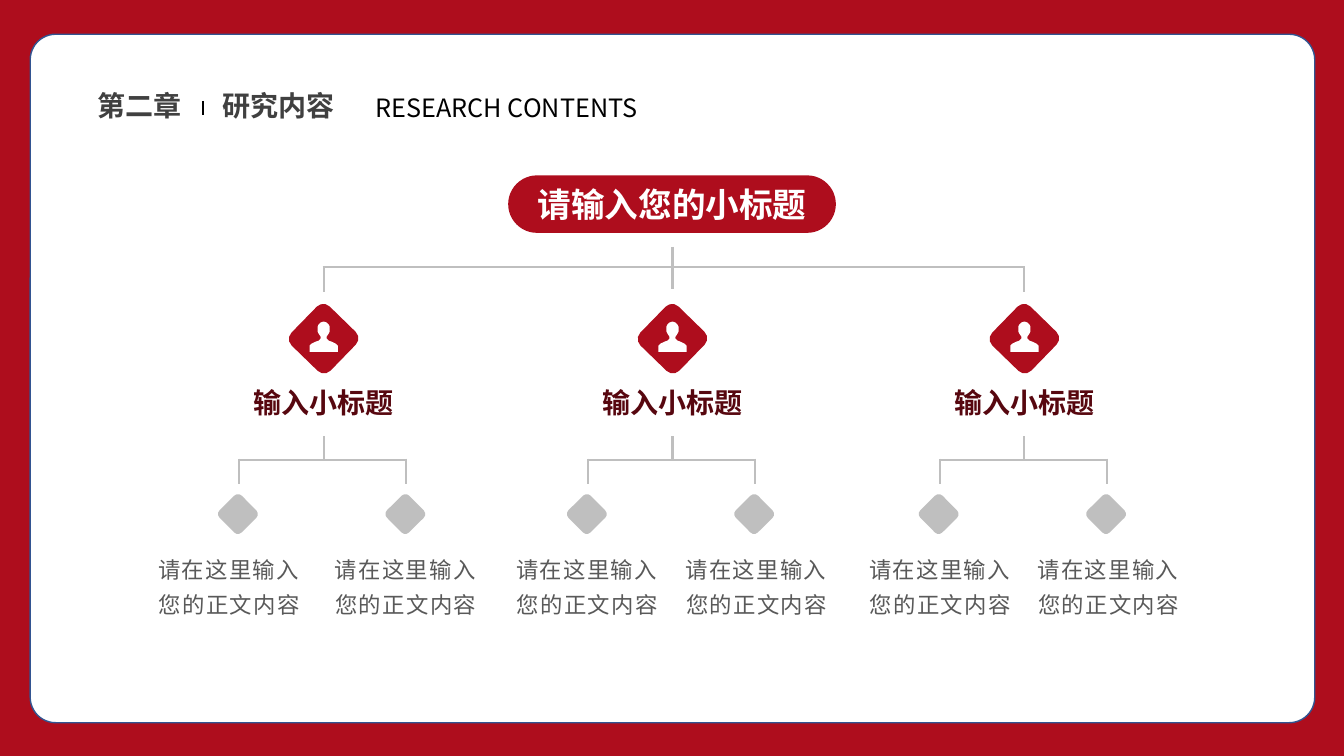
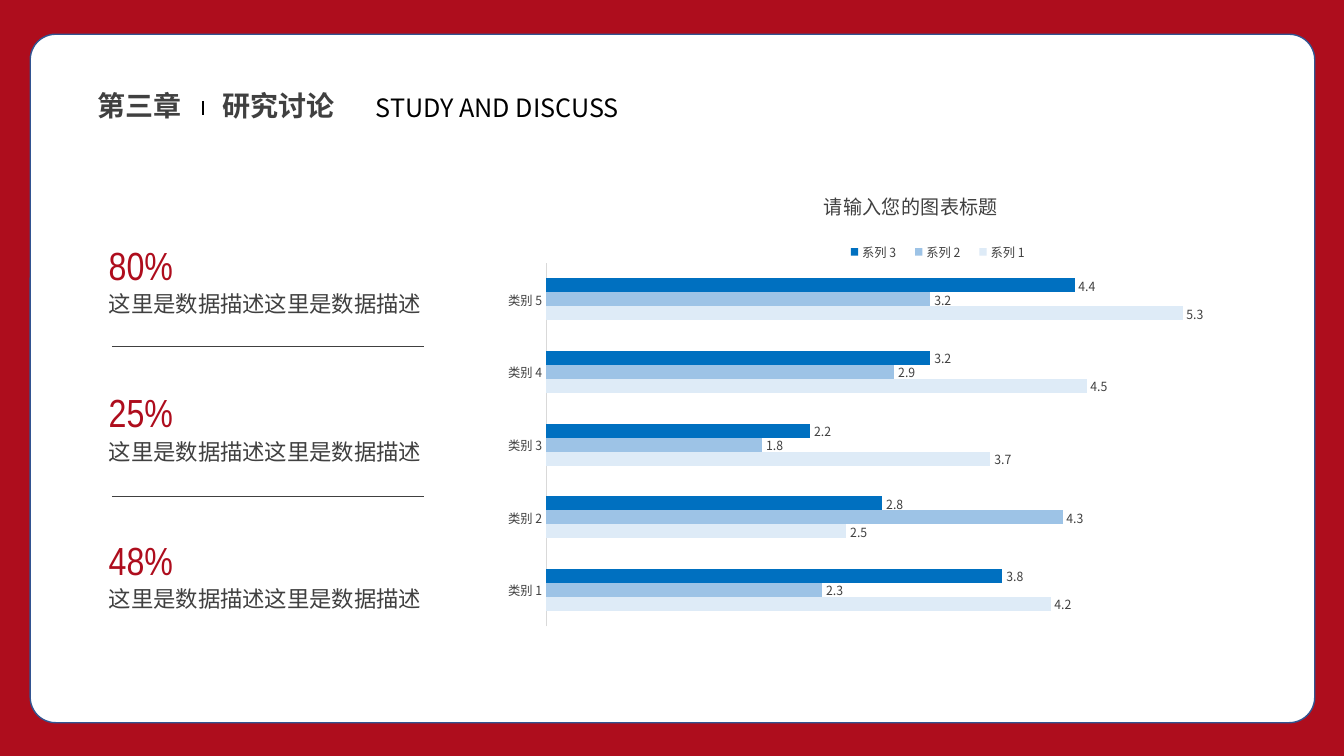
from lxml import etree
from pptx import Presentation
from pptx.chart.data import CategoryChartData
from pptx.dml.color import RGBColor
from pptx.enum.chart import XL_CHART_TYPE as ChartType, XL_LABEL_POSITION as LabelPos
from pptx.enum.chart import XL_LEGEND_POSITION as LegendPos, XL_TICK_MARK as Tick
from pptx.enum.shapes import MSO_CONNECTOR as Connector, MSO_SHAPE as Shape
from pptx.enum.text import MSO_ANCHOR as Anchor, MSO_AUTO_SIZE as AutoSize, PP_ALIGN as Align
from pptx.oxml.ns import qn
from pptx.util import Inches, Pt

RED, DARK_RED, WHITE, BLACK = "AE0D1D", "57070F", "FFFFFF", "000000"
INK, TEXT_GRAY, LINE_GRAY, CARD_EDGE = "404040", "595959", "BFBFBF", "325491"
FONT = "Noto Sans CJK SC"
rgb = RGBColor.from_string


def put_text(shape, text, size, color, bold=False, align=Align.LEFT, font=FONT,
             anchor=Anchor.TOP, leading=None, tracking=0):
    frame = shape.text_frame
    frame.text = text
    frame.word_wrap = True
    frame.auto_size = AutoSize.NONE
    frame.vertical_anchor = anchor
    paragraph = frame.paragraphs[0]
    paragraph.alignment = align
    paragraph.line_spacing = leading
    run = paragraph.runs[0]
    run.font.name, run.font.size, run.font.bold = font, Pt(size), bold
    run.font.color.rgb = rgb(color)
    props = run.font._element
    etree.SubElement(props, qn("a:ea")).set("typeface", font)
    if tracking:
        props.set("spc", str(tracking * 100))


def draw_line(slide, x1, y1, x2, y2, color=LINE_GRAY, width=1.5):
    line = slide.shapes.add_connector(
        Connector.STRAIGHT, Inches(x1), Inches(y1), Inches(x2), Inches(y2))
    line.line.color.rgb = rgb(color)
    line.line.width = Pt(width)
    etree.SubElement(line._element.spPr, qn("a:effectLst"))
    return line


prs = Presentation()
prs.slide_width, prs.slide_height = Inches(13.33), Inches(7.5)

# Shared layout: red ground, white card, title place, heading divider
layout = prs.slide_layouts[5]
layout.background.fill.solid()
layout.background.fill.fore_color.rgb = rgb(RED)
title_place = layout.placeholders[0]
title_place.left, title_place.top = Inches(2.11), Inches(0.83)
title_place.width, title_place.height = Inches(1.5), Inches(0.44)

headings = [("第二章", "研究内容", "RESEARCH CONTENTS"),
            ("第三章", "研究讨论", "STUDY AND DISCUSS")]
contents, discussion = [prs.slides.add_slide(layout) for _ in headings]

card = contents.shapes.add_shape(
    Shape.ROUNDED_RECTANGLE, Inches(0.3), Inches(0.34), Inches(12.74), Inches(6.83))
card.adjustments[0] = 0.037
card.shadow.inherit = False
card.fill.solid()
card.fill.fore_color.rgb = rgb(WHITE)
card.line.color.rgb = rgb(CARD_EDGE)
card.line.width = Pt(1)
divider = draw_line(contents, 2.01, 1, 2.01, 1.14, BLACK)
for place, part in enumerate([card, divider], start=2):
    layout.shapes._spTree.insert(place, part._element)

# Headings
for slide, (chapter, heading, english) in zip([contents, discussion], headings):
    put_text(slide.shapes.title, heading, 20, INK, bold=True)
    chapter_box = slide.shapes.add_textbox(
        Inches(0.87), Inches(0.83), Inches(1.1), Inches(0.44))
    put_text(chapter_box, chapter, 20, INK, bold=True)
    english_box = slide.shapes.add_textbox(
        Inches(3.63), Inches(0.87), Inches(4.06), Inches(0.4))
    put_text(english_box, english, 18, BLACK)

# Tree: root pill and its trunk
solids = []
root = contents.shapes.add_shape(
    Shape.ROUNDED_RECTANGLE, Inches(5.04), Inches(1.74), Inches(3.25), Inches(0.57))
root.adjustments[0] = 0.5
put_text(root, "请输入您的小标题", 24, WHITE, bold=True, align=Align.CENTER,
         anchor=Anchor.MIDDLE)
solids.append((root, RED))
draw_line(contents, 6.67, 2.45, 6.67, 2.87)
draw_line(contents, 3.2, 2.65, 10.17, 2.65)
for x in (3.21, 10.16):
    draw_line(contents, x, 2.65, x, 2.9)

# Tree: branches as (centre, left edges of the two leaf texts)
branches = [(3.21, (1.52, 3.27)), (6.67, (5.07, 6.75)), (10.16, (8.57, 10.24))]
half_person = [(0, 0), (0.03, 0.01), (0.05, 0.03), (0.06, 0.05), (0.06, 0.1),
               (0.05, 0.12), (0.03, 0.15), (0.03, 0.17), (0.05, 0.19), (0.08, 0.2),
               (0.12, 0.22), (0.14, 0.24), (0.14, 0.3)]
person_outline = half_person + [(-x, y) for x, y in reversed(half_person)]

for center, text_lefts in branches:
    diamonds = [(center, 3.36, 0.54, 44.2, RED)]
    diamonds += [(center + dx, 5.1, 0.31, 45.3, LINE_GRAY) for dx in (-0.85, 0.81)]
    for x, y, side, angle, color in diamonds:
        diamond = contents.shapes.add_shape(
            Shape.ROUNDED_RECTANGLE, Inches(x - side / 2), Inches(y - side / 2),
            Inches(side), Inches(side))
        diamond.rotation = angle
        solids.append((diamond, color))

    points = [(Inches(center + x), Inches(3.19 + y)) for x, y in person_outline]
    builder = contents.shapes.build_freeform(*points[0], scale=1.0)
    builder.add_line_segments(points[1:], close=True)
    solids.append((builder.convert_to_shape(), WHITE))

    label = contents.shapes.add_textbox(
        Inches(center - 1), Inches(3.78), Inches(2), Inches(0.44))
    put_text(label, "输入小标题", 20, DARK_RED, bold=True, align=Align.CENTER)

    draw_line(contents, center, 4.33, center, 4.56)
    draw_line(contents, center - 0.84, 4.56, center + 0.83, 4.56)
    for x in (center - 0.84, center + 0.82):
        draw_line(contents, x, 4.55, x, 4.8)

    for left in text_lefts:
        leaf = contents.shapes.add_textbox(
            Inches(left), Inches(5.44), Inches(1.51), Inches(0.79))
        put_text(leaf, "请在这里输入您的正文内容", 16, TEXT_GRAY,
                 align=Align.CENTER, leading=1.3, tracking=1)
        frame = leaf.text_frame
        frame.margin_left = frame.margin_right = 0
        frame.margin_top = frame.margin_bottom = 0

for solid, color in solids:
    solid.shadow.inherit = False
    solid.fill.solid()
    solid.fill.fore_color.rgb = rgb(color)
    solid.line.fill.background()

# Key figures
for row, share in enumerate(["80%", "25%", "48%"]):
    top = 2.23 + 1.46 * row
    figure = discussion.shapes.add_textbox(
        Inches(0.98), Inches(top), Inches(1.72), Inches(0.62))
    put_text(figure, share, 28, RED, font="Arial Narrow", leading=1.25)
    description = discussion.shapes.add_textbox(
        Inches(0.98), Inches(top + 0.55), Inches(3.38), Inches(0.4))
    put_text(description, "这里是数据描述这里是数据描述", 16, INK, leading=1.2)
for y in (3.44, 4.92):
    draw_line(discussion, 1.11, y, 4.21, y, INK, 0.5)

# Bar chart
series_rows = [("系列 1", (4.2, 2.5, 3.7, 4.5, 5.3), "DEEBF7"),
               ("系列 2", (2.3, 4.3, 1.8, 2.9, 3.2), "9DC3E6"),
               ("系列 3", (3.8, 2.8, 2.2, 3.2, 4.4), "0070C0")]
data = CategoryChartData()
data.categories = [f"类别 {n}" for n in range(1, 6)]
for name, values, _ in series_rows:
    data.add_series(name, values)
chart = discussion.shapes.add_chart(
    ChartType.BAR_CLUSTERED, Inches(5.04), Inches(1.71), Inches(7.99), Inches(4.51),
    data).chart

plot = chart.plots[0]
plot.gap_width, plot.overlap = 219, 0
plot.vary_by_categories = False
for series, (_, _, color) in zip(plot.series, series_rows):
    series.format.fill.solid()
    series.format.fill.fore_color.rgb = rgb(color)
plot.has_data_labels = True
plot.data_labels.show_value = True
plot.data_labels.position = LabelPos.OUTSIDE_END

category_axis, value_axis = chart.category_axis, chart.value_axis
category_axis.major_tick_mark = category_axis.minor_tick_mark = Tick.NONE
category_axis.format.line.color.rgb = rgb("D9D9D9")
category_axis.format.line.width = Pt(0.75)
value_axis.minimum_scale, value_axis.maximum_scale = 0, 6
value_axis.has_major_gridlines = False
value_axis.visible = False

chart.has_legend = True
chart.legend.position = LegendPos.TOP
chart.legend.include_in_layout = False
chart_title = chart.chart_title.text_frame
chart_title.text = "请输入您的图表标题"
title_font = chart_title.paragraphs[0].runs[0].font
title_font.bold = False

for font, size in [(chart.font, 10), (title_font, 14), (chart.legend.font, 9),
                   (category_axis.tick_labels.font, 9), (plot.data_labels.font, 9)]:
    font.name, font.size = FONT, Pt(size)
    font.color.rgb = rgb(INK)
    east_asian = etree.Element(qn("a:ea"), typeface=FONT)
    font._element.find(qn("a:latin")).addnext(east_asian)

# Chart layout: fractions of the chart area
chart_xml = chart._chartSpace.chart
for tag, position, sizes in [
        ("c:plotArea", 0, {"x": 0.02, "y": 0.2, "w": 0.92, "h": 0.8}),
        ("c:title", 1, {"x": 0.37, "y": 0.03}),
        ("c:legend", 1, {"x": 0.39, "y": 0.15, "w": 0.26, "h": 0.05})]:
    part = chart_xml.find(qn(tag))
    for old in part.findall(qn("c:layout")):
        part.remove(old)
    area = etree.Element(qn("c:layout"))
    manual = etree.SubElement(area, qn("c:manualLayout"))
    if tag == "c:plotArea":
        etree.SubElement(manual, qn("c:layoutTarget")).set("val", "inner")
    for axis in "xy":
        etree.SubElement(manual, qn(f"c:{axis}Mode")).set("val", "edge")
    for key, fraction in sizes.items():
        etree.SubElement(manual, qn(f"c:{key}")).set("val", str(fraction))
    part.insert(position, area)

prs.save("out.pptx")
